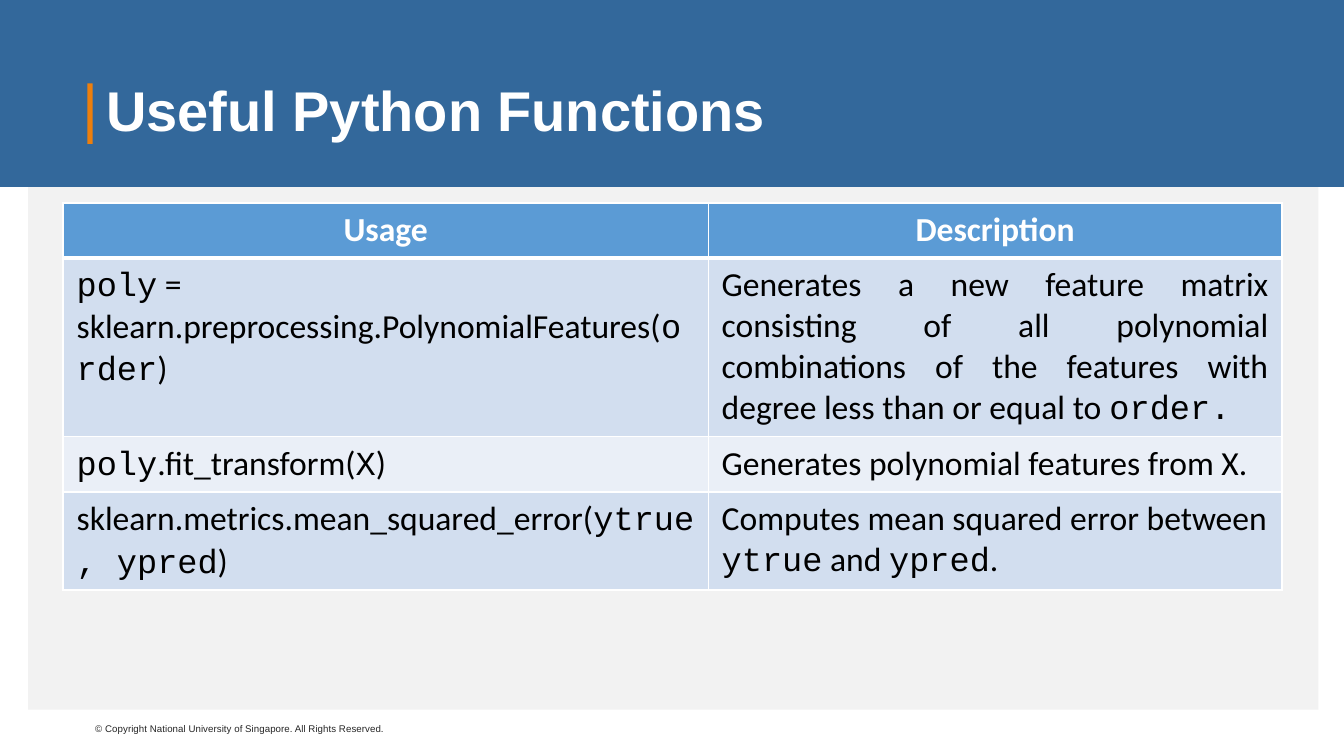
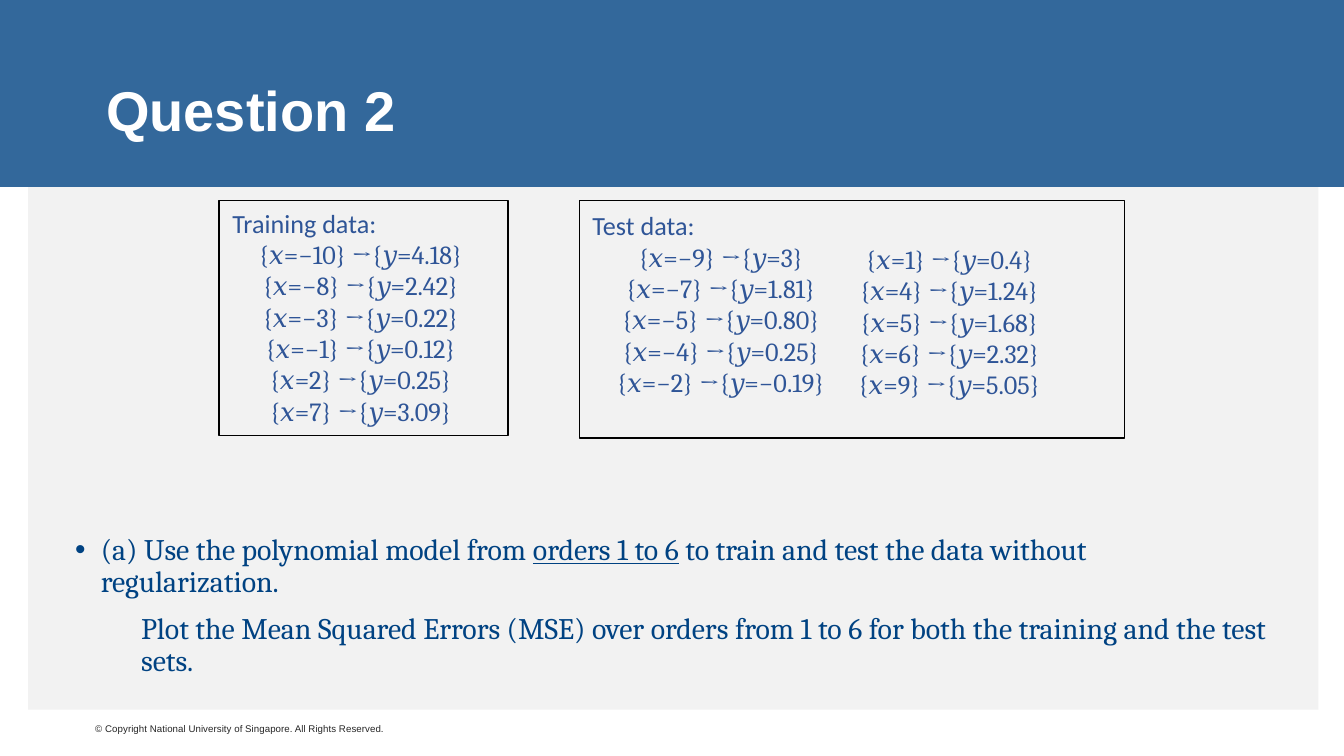
"""Build two tutorial slides: a function table and a regression question."""
from lxml import etree
from pptx import Presentation
from pptx.dml.color import RGBColor
from pptx.enum.shapes import MSO_SHAPE
from pptx.enum.text import MSO_ANCHOR, MSO_AUTO_SIZE, PP_ALIGN
from pptx.oxml.ns import qn
from pptx.util import Inches, Pt

RECTANGLE = MSO_SHAPE.RECTANGLE
TOP, MIDDLE = MSO_ANCHOR.TOP, MSO_ANCHOR.MIDDLE
LEFT, CENTER, JUSTIFY = PP_ALIGN.LEFT, PP_ALIGN.CENTER, PP_ALIGN.JUSTIFY
NO_FIT, GROW = MSO_AUTO_SIZE.NONE, MSO_AUTO_SIZE.SHAPE_TO_FIT_TEXT

COLORS = {
    "band": "33689B", "panel": "F2F2F2", "accent": "ED7F0D",
    "white": "FFFFFF", "black": "000000", "footer": "262626",
    "header": "5B9BD5", "odd": "D2DEEF", "even": "EAEFF7",
    "body": "004282", "data": "2F5597",
}
STYLES = {
    "title": {"name": "Arial", "size": Pt(30), "bold": True, "color": "white"},
    "footer": {"name": "Arial", "size": Pt(5.25), "color": "footer"},
    "header": {"name": "Calibri", "size": Pt(18), "bold": True, "color": "white"},
    "cell": {"name": "Calibri", "size": Pt(18), "bold": False, "color": "black"},
    "code": {"name": "Courier New", "size": Pt(18), "bold": False, "color": "black"},
    "body": {"name": "Cambria", "size": Pt(16), "color": "body"},
    "underlined": {"name": "Cambria", "size": Pt(16), "color": "body", "underline": True},
    "label": {"name": "Calibri", "size": Pt(14), "color": "data"},
    "equation": {"name": "Cambria", "size": Pt(14), "color": "data"},
}

FOOTER = "© Copyright National University of Singapore. All Rights Reserved."
FUNCTION_ROWS = [
    ("Usage", "Description"),
    ("`poly` = sklearn.preprocessing.PolynomialFeatures(`order`)",
     "Generates a new feature matrix consisting of all polynomial combinations "
     "of the features with degree less than or equal to `order.`"),
    ("`poly`.fit_transform(`X`)", "Generates polynomial features from X."),
    ("sklearn.metrics.mean_squared_error(`ytrue, ypred`)",
     "Computes mean squared error between `ytrue` and `ypred`."),
]
JUSTIFIED_CELL = (1, 1)
COLUMN_WIDTHS = (4.8, 4.27)
ROW_HEIGHT = 0.41

TRAINING = [("−10", "4.18"), ("−8", "2.42"), ("−3", "0.22"),
            ("−1", "0.12"), ("2", "0.25"), ("7", "3.09")]
TEST_NEGATIVE = [("−9", "3"), ("−7", "1.81"), ("−5", "0.80"),
                 ("−4", "0.25"), ("−2", "−0.19")]
TEST_POSITIVE = [("1", "0.4"), ("4", "1.24"), ("5", "1.68"),
                 ("6", "2.32"), ("9", "5.05")]
TASKS = [
    ("(a) Use the polynomial model from `orders 1 to 6` to train and test "
     "the data without regularization.", 0.19, -0.19, "•"),
    ("Plot the Mean Squared Errors (MSE) over orders from 1 to 6 for both "
     "the training and the test sets.", 0.49, 0, None),
]


def color(name):
    return RGBColor.from_string(COLORS[name])


def place(shape, left, top, width, height):
    for name, value in zip(("left", "top", "width", "height"), (left, top, width, height)):
        setattr(shape, name, Inches(value))


def write(para, text, style, marked_style=None, align=LEFT):
    """Write a paragraph whose backticked parts take the marked style."""
    para.alignment = align
    for index, part in enumerate(text.split("`")):
        if not part:
            continue
        span = para.add_run()
        span.text = part
        for name, value in STYLES[marked_style if index % 2 else style].items():
            if name == "color":
                span.font.color.rgb = color(value)
            else:
                setattr(span.font, name, value)


def add_rectangle(page, position, fill=None, line=None):
    shape = page.shapes.add_shape(RECTANGLE, *map(Inches, position))
    shape.shadow.inherit = False
    if fill:
        shape.fill.solid()
        shape.fill.fore_color.rgb = color(fill)
    else:
        shape.fill.background()
    if line:
        shape.line.color.rgb = color(line)
        shape.line.width = Pt(0.75)
    else:
        shape.line.fill.background()
    return shape


def add_text_box(page, position, wrap=True):
    box = page.shapes.add_textbox(*map(Inches, position))
    box.text_frame.word_wrap = wrap
    box.text_frame.auto_size = GROW
    return box


def decorate_master(deck, page):
    """Move the shared footer, panel and band behind the master's placeholders."""
    footer = add_text_box(page, (0.61, 5.33, 2.38, 0.19), wrap=False)
    write(footer.text_frame.paragraphs[0], FOOTER, "footer")
    panel = add_rectangle(page, (0.21, 1.39, 9.6, 3.89), "panel")
    band = add_rectangle(page, (0, 0, 10.08, 1.39), "band")
    tree = deck.slide_master.shapes.element
    for index, shape in enumerate((footer, panel, band)):
        shape.element.nvSpPr.cNvPr.set("id", str(100 + index))
        tree.insert(2 + index, shape.element)


def set_title(page, text):
    title = page.shapes.title
    place(title, 0.69, 0.3, 8.62, 1.09)
    frame = title.text_frame
    frame.vertical_anchor = MIDDLE
    frame.auto_size = NO_FIT
    para = frame.paragraphs[0]
    para.line_spacing = 0.9
    write(para, text, "title")


def set_borders(cell, row_index):
    properties = cell._tc.get_or_add_tcPr()
    widths = {"L": 1, "R": 1, "T": 3 if row_index == 1 else 1, "B": 3 if row_index == 0 else 1}
    for side, width in widths.items():
        line = etree.SubElement(properties, qn(f"a:ln{side}"), w=str(Pt(width)))
        fill = etree.SubElement(line, qn("a:solidFill"))
        etree.SubElement(fill, qn("a:srgbClr"), val=COLORS["white"])


def add_function_table(page):
    table = page.shapes.add_table(
        len(FUNCTION_ROWS), len(COLUMN_WIDTHS), Inches(0.47), Inches(1.51),
        Inches(sum(COLUMN_WIDTHS)), Inches(ROW_HEIGHT * len(FUNCTION_ROWS))).table
    for column, width in zip(table.columns, COLUMN_WIDTHS):
        column.width = Inches(width)
    for row_index, texts in enumerate(FUNCTION_ROWS):
        table.rows[row_index].height = Inches(ROW_HEIGHT)
        fill = "header" if row_index == 0 else ("even", "odd")[row_index % 2]
        style = "header" if row_index == 0 else "cell"
        for column_index, text in enumerate(texts):
            cell = table.cell(row_index, column_index)
            set_borders(cell, row_index)
            cell.fill.solid()
            cell.fill.fore_color.rgb = color(fill)
            align = CENTER if row_index == 0 else LEFT
            if (row_index, column_index) == JUSTIFIED_CELL:
                align = JUSTIFY
            write(cell.text_frame.paragraphs[0], text, style, "code", align)


def write_data(shape, pairs, label=None):
    frame = shape.text_frame
    frame.word_wrap = True
    frame.vertical_anchor = TOP
    frame.auto_size = GROW
    lines = [(label, "label", LEFT)] if label else []
    lines += [(f"{{𝑥={x}}} →{{𝑦={y}}} ", "equation", CENTER) for x, y in pairs]
    for index, (text, style, align) in enumerate(lines):
        para = frame.add_paragraph() if index else frame.paragraphs[0]
        write(para, text, style, align=align)


def set_tasks(page):
    body = page.placeholders[1]
    place(body, 0.46, 3.93, 9.07, 0.91)
    frame = body.text_frame
    frame.auto_size = NO_FIT
    frame.vertical_anchor = TOP
    for index, (text, margin, indent, bullet) in enumerate(TASKS):
        para = frame.add_paragraph() if index else frame.paragraphs[0]
        para.line_spacing = 0.9
        para.space_before = Pt(7.5)
        write(para, text, "body", "underlined")
        properties = para._p.get_or_add_pPr()
        properties.set("marL", str(Inches(margin)))
        properties.set("indent", str(Inches(indent)))
        if bullet:
            etree.SubElement(properties, qn("a:buFont"), typeface="Arial")
            etree.SubElement(properties, qn("a:buChar"), char=bullet)
        else:
            etree.SubElement(properties, qn("a:buNone"))


def main():
    deck = Presentation()
    deck.slide_width = Inches(10)
    deck.slide_height = deck.slide_width * 9 // 16

    functions = deck.slides.add_slide(deck.slide_layouts[5])
    decorate_master(deck, functions)
    set_title(functions, "Useful Python Functions")
    add_rectangle(functions, (0.65, 0.62, 0.04, 0.45), "accent")
    add_function_table(functions)

    question = deck.slides.add_slide(deck.slide_layouts[1])
    set_title(question, "Question 2")
    set_tasks(question)
    training = add_rectangle(question, (1.63, 1.49, 2.15, 1.75), line="black")
    write_data(training, TRAINING, "Training data:")
    write_data(add_text_box(question, (4.31, 1.51, 2.15, 1.51)), TEST_NEGATIVE, "Test data:")
    write_data(add_text_box(question, (5.58, 1.76, 3.01, 1.28)), TEST_POSITIVE)
    add_rectangle(question, (4.31, 1.49, 4.06, 1.77), line="black")

    deck.save("out.pptx")


if __name__ == "__main__":
    main()
